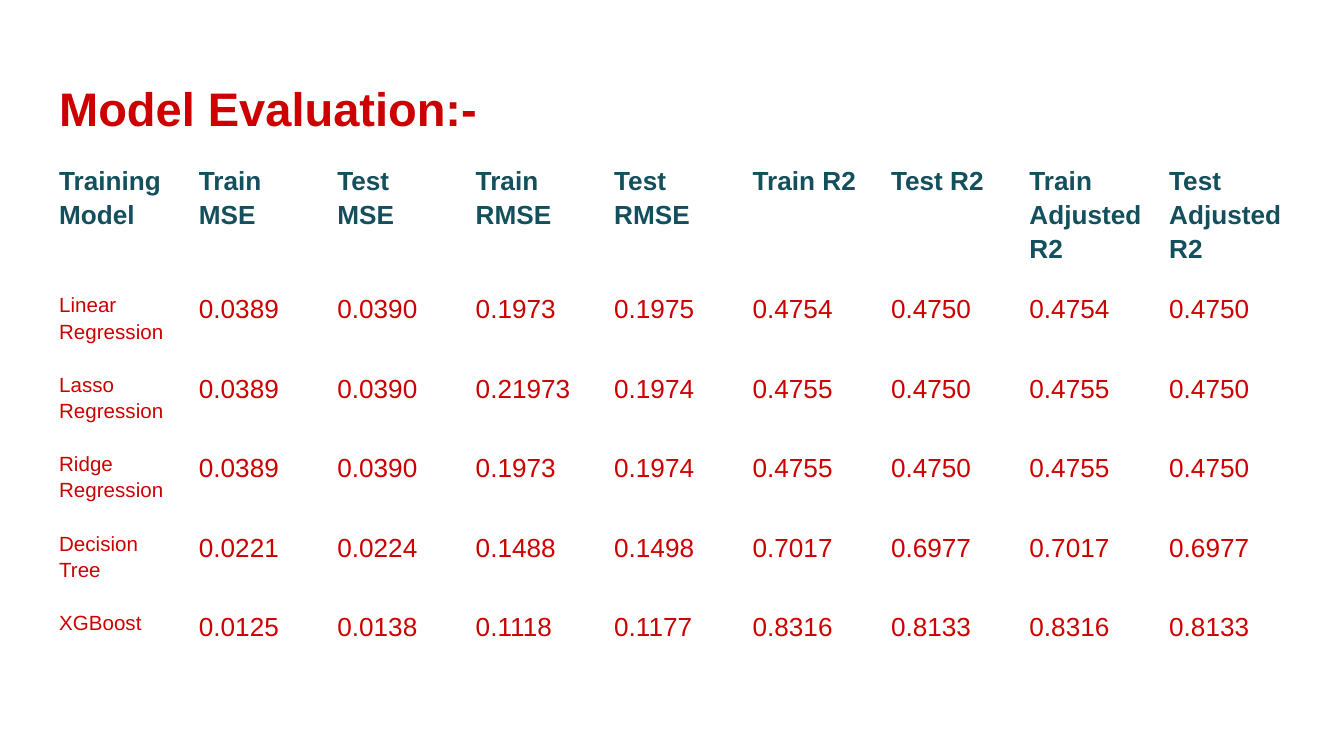
from pptx import Presentation
from pptx.dml.color import RGBColor
from pptx.enum.text import MSO_ANCHOR as Anchor, PP_ALIGN as Align
from pptx.util import Inches, Pt

RED = "CC0000"
TEAL = "134F5C"
WHITE = "FFFFFF"
INSET = 0.1

HEADERS = ["Training Model", "Train MSE", "Test MSE", "Train RMSE", "Test RMSE",
           "Train R2", "Test R2", "Train Adjusted R2", "Test Adjusted R2"]
RESULTS = [
    ["Linear Regression", "0.0389", "0.0390", "0.1973", "0.1975",
     "0.4754", "0.4750", "0.4754", "0.4750"],
    ["Lasso Regression", "0.0389", "0.0390", "0.21973", "0.1974",
     "0.4755", "0.4750", "0.4755", "0.4750"],
    ["Ridge Regression", "0.0389", "0.0390", "0.1973", "0.1974",
     "0.4755", "0.4750", "0.4755", "0.4750"],
    ["Decision Tree", "0.0221", "0.0224", "0.1488", "0.1498",
     "0.7017", "0.6977", "0.7017", "0.6977"],
    ["XGBoost", "0.0125", "0.0138", "0.1118", "0.1177",
     "0.8316", "0.8133", "0.8316", "0.8133"],
]
COLUMN_WIDTHS = [1.04] + [1.03] * 6 + [1.04] * 2
ROW_HEIGHTS = [0.92] + [0.56] * 4 + [0.44]


def color(value):
    return RGBColor.from_string(value)


def set_margins(box):
    box.margin_left = box.margin_right = Inches(INSET)
    box.margin_top = box.margin_bottom = Inches(INSET)


def format_paragraph(paragraph, size, font_color, bold):
    paragraph.alignment = Align.LEFT
    for run in paragraph.runs:
        run.font.name = "Arial"
        run.font.size = Pt(size)
        run.font.bold = bold
        run.font.color.rgb = color(font_color)


def add_title(slide, text, left, top, width, height):
    title = slide.shapes.title
    title.left, title.top = Inches(left), Inches(top)
    title.width, title.height = Inches(width), Inches(height)
    frame = title.text_frame
    frame.text = text
    frame.word_wrap = True
    frame.vertical_anchor = Anchor.MIDDLE
    set_margins(frame)
    format_paragraph(frame.paragraphs[0], 25.2, RED, True)


def fill_cell(cell, text, size, font_color, bold):
    cell.fill.solid()
    cell.fill.fore_color.rgb = color(WHITE)
    cell.vertical_anchor = Anchor.TOP
    set_margins(cell)
    cell.text_frame.text = text
    paragraph = cell.text_frame.paragraphs[0]
    paragraph.line_spacing = 1.15
    format_paragraph(paragraph, size, font_color, bold)


def add_results_table(slide, left, top):
    rows = [HEADERS] + RESULTS
    table = slide.shapes.add_table(
        len(rows), len(HEADERS), Inches(left), Inches(top),
        Inches(sum(COLUMN_WIDTHS)), Inches(sum(ROW_HEIGHTS))).table
    table.horz_banding = False
    table.first_row = False
    for column, width in zip(table.columns, COLUMN_WIDTHS):
        column.width = Inches(width)
    for row, height in zip(table.rows, ROW_HEIGHTS):
        row.height = Inches(height)
    for row_index, values in enumerate(rows):
        is_header = row_index == 0
        for column_index, value in enumerate(values):
            size = 14 if is_header or column_index else 11
            fill_cell(table.cell(row_index, column_index), value, size,
                      TEAL if is_header else RED, is_header)


def main():
    presentation = Presentation()
    presentation.slide_width = Inches(10)
    presentation.slide_height = presentation.slide_width * 9 // 16
    slide = presentation.slides.add_slide(presentation.slide_layouts[5])
    slide.background.fill.solid()
    slide.background.fill.fore_color.rgb = color(WHITE)
    add_title(slide, "Model Evaluation:-", 0.34, 0.49, 9.32, 0.63)
    add_results_table(slide, 0.34, 1.11)
    presentation.save("out.pptx")


if __name__ == "__main__":
    main()
